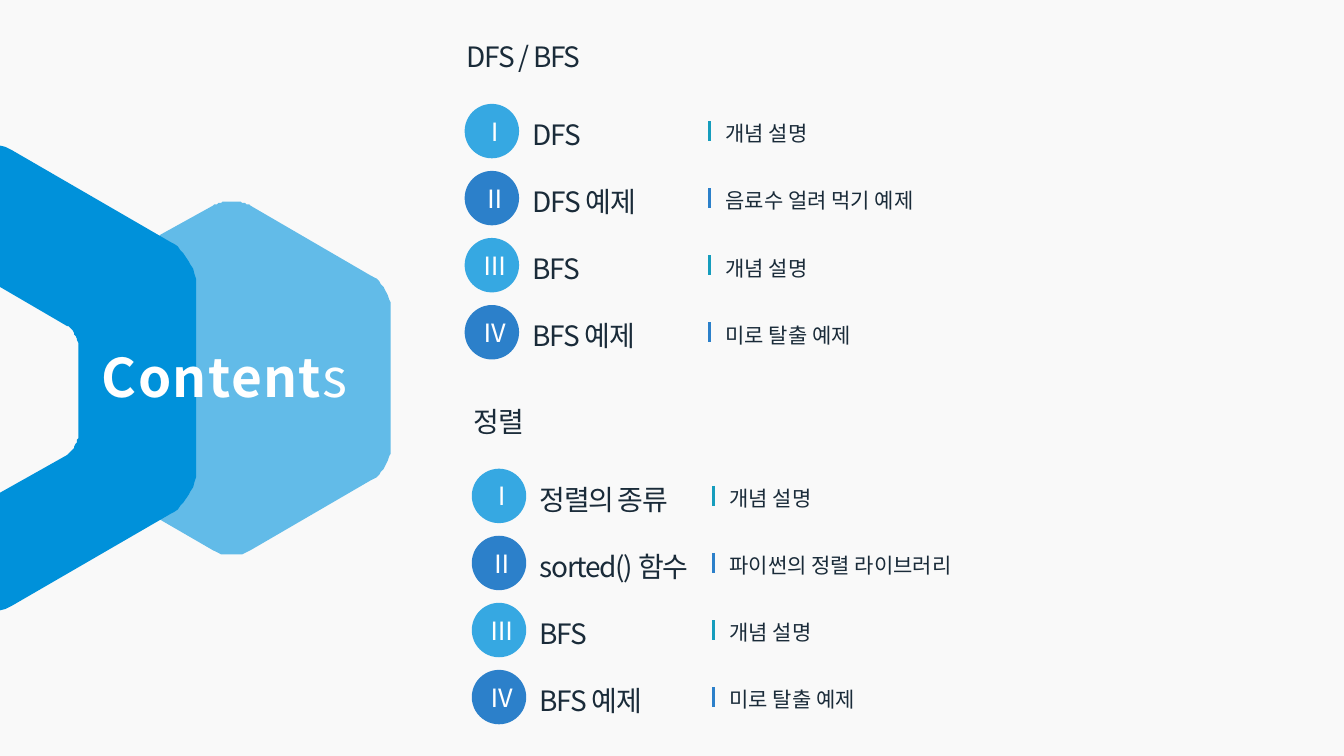
from lxml.etree import SubElement
from pptx import Presentation
from pptx.dml.color import RGBColor as RGB
from pptx.enum.shapes import MSO_CONNECTOR as CONN, MSO_SHAPE as SHAPE
from pptx.enum.text import MSO_ANCHOR as ANCHOR, MSO_AUTO_SIZE as AUTO, PP_ALIGN as ALIGN
from pptx.oxml import parse_xml
from pptx.oxml.ns import qn
from pptx.util import Pt

FONT = "Noto Sans CJK KR"
COLORS = {"paper": "F9F9F9", "hexagon": "62BBE8", "frame": "0091DA", "white": "FFFFFF",
          "ink": "1A2B39", "light": "36A8E2", "dark": "2C80CA", "teal": "169DBD"}
A_NS = "http://schemas.openxmlformats.org/drawingml/2006/main"
TEXT_SHADOW = (f'<a:effectLst xmlns:a="{A_NS}"><a:outerShdw blurRad="38100" dist="38100" '
               'dir="2700000" algn="tl"><a:srgbClr val="000000"><a:alpha val="30000"/>'
               '</a:srgbClr></a:outerShdw></a:effectLst>')

# Two numbers make a line to a point, six make a cubic curve.
HEXAGON = [(165.6, 144), (170.6, 144, 175.7, 144.7, 179.3, 146.9), (265, 196.6),
           (272.9, 200.9, 279.4, 211.7, 279.4, 220.3), (279.4, 319),
           (279.4, 328.3, 272.9, 339.1, 265, 343.4), (179.3, 393.1),
           (172.1, 397.4, 159.1, 397.4, 151.9, 393.1), (113.8, 370.8), (113.8, 168.5),
           (151.9, 146.9), (155.5, 144.7, 160.6, 144, 165.6, 144)]
FRAME = [(0, 104.4), (4.3, 105.1), (7.9, 107.3), (121.7, 172.8),
         (131.8, 178.6, 140.4, 193, 140.4, 204.5), (140.4, 335.5),
         (140.4, 347, 131.8, 361.4, 121.7, 367.2), (7.9, 432.7), (4.3, 434.9), (0, 435.6),
         (0, 352.1), (47.5, 324.7), (51.8, 322.6, 56.2, 315.4, 56.2, 309.6), (56.2, 247.7),
         (56.2, 241.9, 51.8, 235.4, 47.5, 232.6), (0, 205.2)]

NUMERALS = "ⅠⅡⅢⅣ"
ROW_PITCH = 47.9
CIRCLE = 38.9
# Heading, left and top of the first circle, left of the bars, rows
SECTIONS = [
    ("DFS / BFS", 331.9, 74.2, 506.9,
     [("DFS", "개념 설명"), ("DFS 예제", "음료수 얼려 먹기 예제"),
      ("BFS", "개념 설명"), ("BFS 예제", "미로 탈출 예제")]),
    ("정렬", 337, 334.8, 509.8,
     [("정렬의 종류", "개념 설명"), ("sorted() 함수", "파이썬의 정렬 라이브러리"),
      ("BFS", "개념 설명"), ("BFS 예제", "미로 탈출 예제")]),
]


def flatten(path, steps=12):
    """Turn the lines and cubic curves of a path into a list of points."""
    points = []
    for seg in path:
        if len(seg) == 2:
            points.append(seg)
            continue
        ctrl = [points[-1], seg[:2], seg[2:4], seg[4:]]
        for i in range(1, steps + 1):
            t = i / steps
            weights = ((1 - t) ** 3, 3 * t * (1 - t) ** 2, 3 * t * t * (1 - t), t ** 3)
            points.append(tuple(sum(w * c[axis] for w, c in zip(weights, ctrl))
                                for axis in (0, 1)))
    return points


class Deck:
    def __init__(self):
        self.prs = Presentation()
        self.prs.slide_width, self.prs.slide_height = Pt(960), Pt(540)
        self.s = self.prs.slides.add_slide(self.prs.slide_layouts[5])
        self.fill(self.s.background, "paper")

    def fill(self, target, color):
        target.fill.solid()
        target.fill.fore_color.rgb = RGB.from_string(COLORS[color])

    def paint(self, sp, color):
        self.fill(sp, color)
        sp.line.fill.background()
        sp.shadow.inherit = False

    def style(self, r, size, color, spacing=0):
        r.font.size = Pt(size)
        r.font.color.rgb = RGB.from_string(COLORS[color])
        r.font.name = FONT
        rPr = r._r.get_or_add_rPr()
        SubElement(rPr, qn("a:ea")).set("typeface", FONT)
        if spacing:
            rPr.set("spc", str(spacing * 100))

    def outline(self, path, color):
        first, *rest = flatten(path)
        builder = self.s.shapes.build_freeform(*first, scale=Pt(1))
        builder.add_line_segments(rest, close=True)
        self.paint(builder.convert_to_shape(), color)

    def title(self, bold, light, x, y, w, h):
        sp = self.s.shapes.title
        sp.left, sp.top, sp.width, sp.height = Pt(x), Pt(y), Pt(w), Pt(h)
        tf = sp.text_frame
        tf.word_wrap, tf.auto_size = True, AUTO.SHAPE_TO_FIT_TEXT
        tf.vertical_anchor = ANCHOR.MIDDLE
        tf.margin_top = Pt(7.2)
        p = tf.paragraphs[0]
        p.alignment, p.line_spacing = ALIGN.LEFT, 0.8
        for text, is_bold, spacing in ((bold, True, 1), (light, False, 1)):
            r = p.add_run()
            r.text = text
            self.style(r, 38, "white", spacing)
            r.font.bold = is_bold
            r._r.rPr.find(qn("a:latin")).addprevious(parse_xml(TEXT_SHADOW))
        self.s.shapes._spTree.append(sp._element)  # bring to front

    def text(self, text, x, y, w, h, size, spacing=0, line=None, top=3.6):
        sp = self.s.shapes.add_textbox(Pt(x), Pt(y), Pt(w), Pt(h))
        tf = sp.text_frame
        tf.text = text
        tf.word_wrap, tf.auto_size = True, AUTO.SHAPE_TO_FIT_TEXT
        tf.margin_top = Pt(top)
        p = tf.paragraphs[0]
        p.line_spacing = line
        self.style(p.runs[0], size, "ink", spacing)

    def label(self, text, x, y):
        self.text(text, x, y, 130, 28.1, 20, spacing=-1, line=0.8, top=8.6)

    def badge(self, numeral, x, y, color):
        sp = self.s.shapes.add_shape(SHAPE.OVAL, Pt(x), Pt(y), Pt(CIRCLE), Pt(CIRCLE))
        self.paint(sp, color)
        tf = sp.text_frame
        tf.text = numeral
        tf.vertical_anchor = ANCHOR.MIDDLE
        p = tf.paragraphs[0]
        p.alignment = ALIGN.CENTER
        self.style(p.runs[0], 18, "white")

    def bar(self, x, y, color):
        line = self.s.shapes.add_connector(CONN.STRAIGHT, Pt(x), Pt(y), Pt(x), Pt(y + 14.4))
        line.line.color.rgb = RGB.from_string(COLORS[color])
        line.line.width = Pt(2.25)
        SubElement(line._element.spPr, qn("a:effectLst"))

    def section(self, heading, x, top, bar_x, rows):
        self.label(heading, x - 5.5, top - 49.7)
        for i, (topic, detail) in enumerate(rows):
            y = top + i * ROW_PITCH
            self.badge(NUMERALS[i], x, y, ("light", "dark")[i % 2])
            self.label(topic, x + 41.5, y + 5.6)
            self.bar(bar_x, y + 12.3, ("teal", "dark")[i % 2])
            self.text(detail, bar_x + 4.3, y + 8.6, 213, 22.3, 15)


def main():
    deck = Deck()
    deck.outline(HEXAGON, "hexagon")
    deck.outline(FRAME, "frame")
    deck.title("Content", "s", 65.5, 247, 213.8, 48.2)
    for section in SECTIONS:
        deck.section(*section)
    deck.prs.save("out.pptx")


if __name__ == "__main__":
    main()
